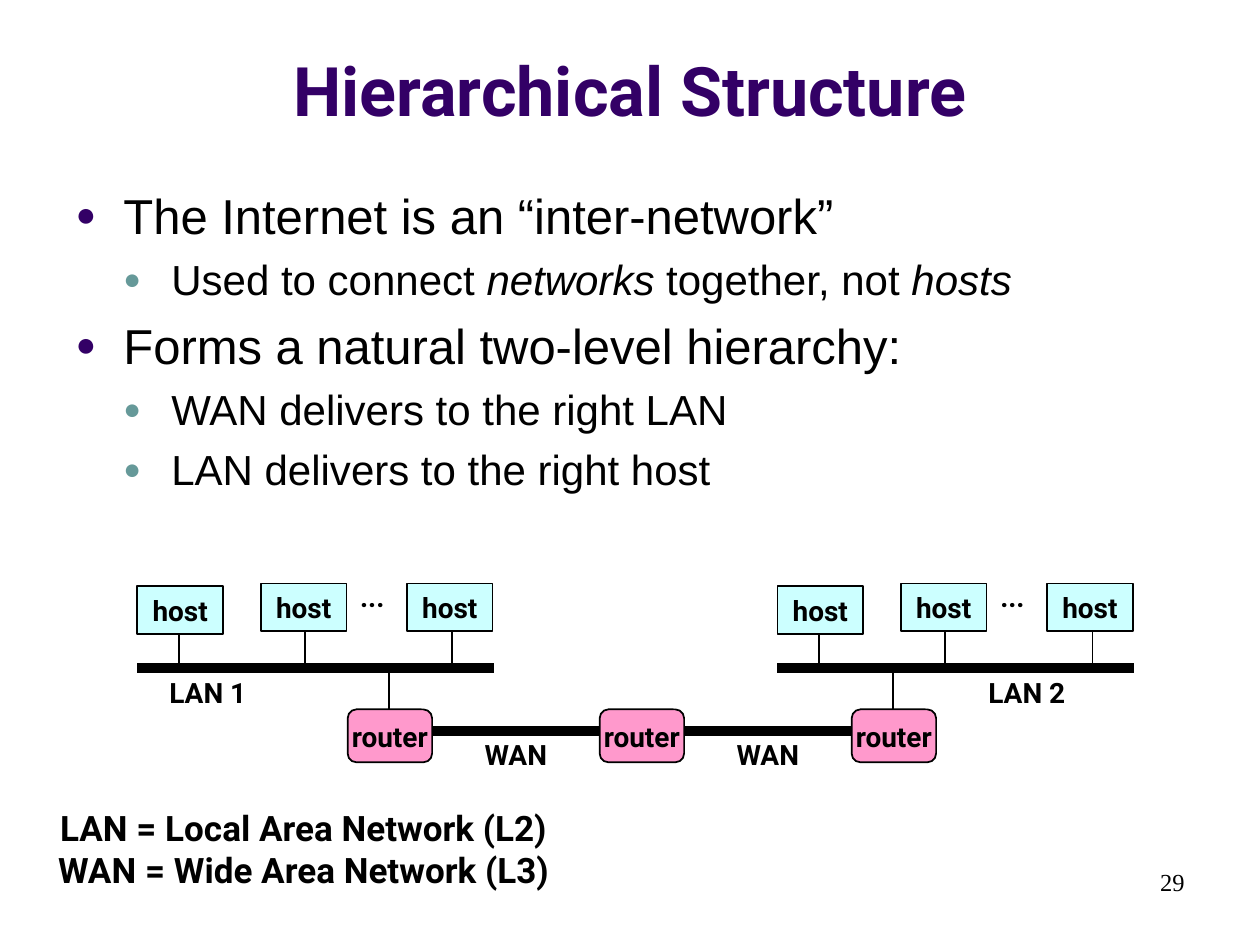
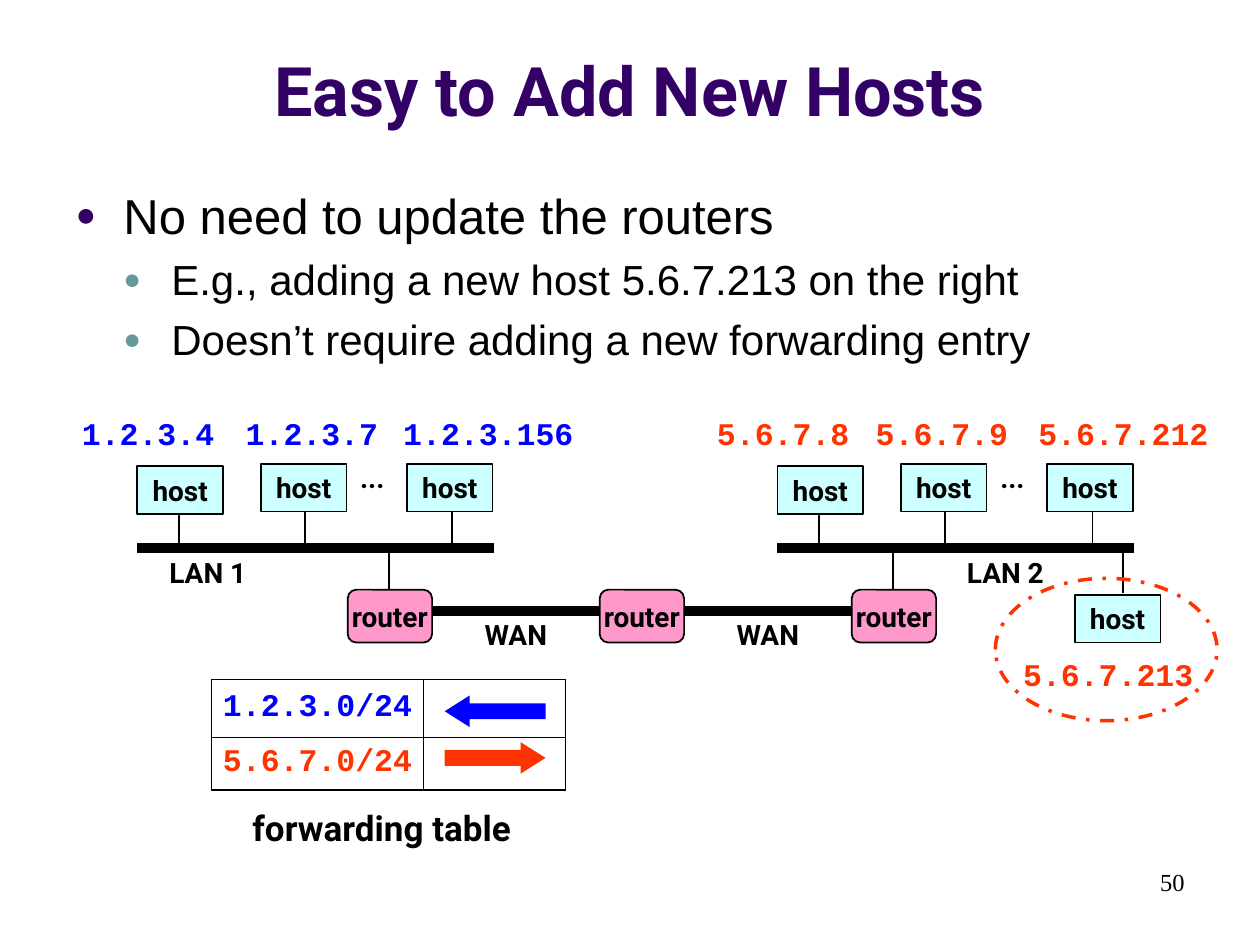
from lxml.etree import SubElement
from pptx import Presentation
from pptx.dml.color import RGBColor
from pptx.enum.dml import MSO_LINE
from pptx.enum.shapes import MSO_CONNECTOR, MSO_SHAPE
from pptx.enum.text import MSO_ANCHOR, MSO_AUTO_SIZE, PP_ALIGN
from pptx.oxml.ns import qn
from pptx.util import Inches, Pt

BLACK = RGBColor(0x00, 0x00, 0x00)
PURPLE = RGBColor(0x33, 0x00, 0x66)
TEAL = RGBColor(0x66, 0x99, 0x99)
HOST_FILL = RGBColor(0xCC, 0xFF, 0xFF)
ROUTER_FILL = RGBColor(0xFF, 0x99, 0xCC)
BLUE = RGBColor(0x00, 0x00, 0xFF)
ORANGE = RGBColor(0xFF, 0x33, 0x00)

HEADING_FONT = "Roboto"
BODY_FONT = "Arial"
ADDRESS_FONT = "Courier New"
NUMBER_FONT = "Times New Roman"

HOST_SIZE = (0.68, 0.38)
ROUTER_SIZE = (0.67, 0.42)
LAN_WIDTH = 2.83
LAN_LEFTS = (1.09, 6.17)
ROUTER_LEFTS = (2.76, 4.76, 6.76)
STEM = 0.33
# Font size, bullet colour and space before for each list level.
LIST_LEVELS = ((28, PURPLE, 6.4), (24, TEAL, 5.5))


def place(shape, left, top, width, height):
    """Move and size a shape, in inches."""
    shape.left, shape.top = Inches(left), Inches(top)
    shape.width, shape.height = Inches(width), Inches(height)


def style(paragraph, font_name, size, color=BLACK, bold=True, align=PP_ALIGN.CENTER):
    """Set the font and alignment of a whole paragraph."""
    paragraph.alignment = align
    font = paragraph.font
    font.name, font.size, font.bold = font_name, Pt(size), bold
    font.color.rgb = color


def add_text(slide, box, lines, font_name=HEADING_FONT, size=16, color=BLACK,
             bold=True, align=PP_ALIGN.CENTER, anchor=MSO_ANCHOR.TOP, wrap=False):
    """Add a text box with one paragraph for each line."""
    frame = slide.shapes.add_textbox(*map(Inches, box)).text_frame
    frame.word_wrap = wrap
    frame.vertical_anchor = anchor
    frame.text = "\n".join(lines)
    for paragraph in frame.paragraphs:
        style(paragraph, font_name, size, color, bold, align)


def add_label(slide, box, text, wrap=False):
    """Add a diagram label centred in its box."""
    add_text(slide, box, [text], anchor=MSO_ANCHOR.MIDDLE, wrap=wrap)


def add_address(slide, left, top, text, color):
    """Add an IP address, with a box as wide as its characters need."""
    box = (left, top, 0.2 + 0.15 * len(text), 0.4)
    add_text(slide, box, [text], ADDRESS_FONT, 18, color)


def add_line(slide, start, end, width=1):
    """Add a straight black line between two points."""
    points = map(Inches, (*start, *end))
    line = slide.shapes.add_connector(MSO_CONNECTOR.STRAIGHT, *points)
    line.line.color.rgb = BLACK
    line.line.width = Pt(width)
    SubElement(line._element.spPr, qn("a:effectLst"))


def add_shape(slide, kind, box, fill=None, line=None, width=1):
    """Add a flat preset shape; a missing fill or line is left out."""
    shape = slide.shapes.add_shape(kind, *map(Inches, box))
    shape.shadow.inherit = False
    if fill is None:
        shape.fill.background()
    else:
        shape.fill.solid()
        shape.fill.fore_color.rgb = fill
    if line is None:
        shape.line.fill.background()
    else:
        shape.line.color.rgb = line
        shape.line.width = Pt(width)
    return shape


def add_node(slide, kind, box, fill, text):
    """Add a labelled network node."""
    frame = add_shape(slide, kind, box, fill, BLACK).text_frame
    frame.word_wrap = False
    frame.vertical_anchor = MSO_ANCHOR.MIDDLE
    frame.text = text
    style(frame.paragraphs[0], HEADING_FONT, 16)


def add_host(slide, left, top):
    """Add a host node."""
    add_node(slide, MSO_SHAPE.RECTANGLE, (left, top, *HOST_SIZE), HOST_FILL, "host")


def add_lan(slide, left, bus, name, name_left):
    """Draw a LAN: a bus line with three hosts above it and a name below."""
    add_line(slide, (left, bus), (left + LAN_WIDTH, bus), 6)
    for stem in (0.33, 1.33, 2.5):
        add_line(slide, (left + stem, bus - STEM), (left + stem, bus))
    for offset, rise in ((0, 0.65), (0.98, 0.67), (2.14, 0.67)):
        add_host(slide, left + offset, bus - rise)
    add_label(slide, (name_left, bus + 0.01, 0.84, 0.37), name)
    add_label(slide, (left + 1.67, bus - 0.75, 0.39, 0.37), "...", wrap=True)


def add_network(slide, bus, second_name_left):
    """Draw two LANs joined by three routers; bus is the height of the LAN lines."""
    add_lan(slide, LAN_LEFTS[0], bus, "LAN 1", 1.23)
    add_lan(slide, LAN_LEFTS[1], bus, "LAN 2", second_name_left)
    router_top, wan = bus + STEM, bus + 0.5
    width = ROUTER_SIZE[0]
    for left in (ROUTER_LEFTS[0], ROUTER_LEFTS[-1]):
        add_line(slide, (left + STEM, bus), (left + STEM, router_top))
    for left, right in zip(ROUTER_LEFTS, ROUTER_LEFTS[1:]):
        add_line(slide, (left + width, wan), (right, wan), 6)
        add_label(slide, (left + 0.97, wan, 0.73, 0.37), "WAN")
    for left in ROUTER_LEFTS:
        add_node(slide, MSO_SHAPE.ROUNDED_RECTANGLE,
                 (left, router_top, *ROUTER_SIZE), ROUTER_FILL, "router")


def set_bullet(paragraph, level, color):
    """Give a list paragraph its hanging indent and coloured bullet."""
    properties = paragraph._p.get_or_add_pPr()
    properties.set("marL", str(Inches(0.38 * (level + 1))))
    properties.set("indent", str(Inches(-0.38)))
    bullet_color = SubElement(properties, qn("a:buClr"))
    SubElement(bullet_color, qn("a:srgbClr"), val=str(color))
    SubElement(properties, qn("a:buSzPct"), val="70000")
    SubElement(properties, qn("a:buChar"), char="●")


def fill_list(body, items):
    """Write (level, runs) items into the body; every second run is italic."""
    place(body, 0.5, 1.42, 9.33, 5.29)
    frame = body.text_frame
    frame.auto_size = MSO_AUTO_SIZE.NONE
    for index, (level, runs) in enumerate(items):
        paragraph = frame.add_paragraph() if index else frame.paragraphs[0]
        size, color, space = LIST_LEVELS[level]
        paragraph.level = level
        paragraph.space_before = Pt(space)
        set_bullet(paragraph, level, color)
        style(paragraph, BODY_FONT, size, bold=False, align=PP_ALIGN.LEFT)
        for position, text in enumerate(runs):
            run = paragraph.add_run()
            run.text = text
            if position % 2:
                run.font.italic = True


def add_content_slide(presentation, title, items, number):
    """Add a slide with a title, a bullet list and a page number."""
    slide = presentation.slides.add_slide(presentation.slide_layouts[1])
    heading, body = slide.placeholders
    place(heading, 0, 0.13, 10, 0.95)
    frame = heading.text_frame
    frame.auto_size = MSO_AUTO_SIZE.NONE
    frame.vertical_anchor = MSO_ANCHOR.BOTTOM
    frame.text = title
    style(frame.paragraphs[0], HEADING_FONT, 39, PURPLE)
    fill_list(body, items)
    add_text(slide, (7.17, 6.83, 2.33, 0.5), [number], NUMBER_FONT, 14,
             bold=False, align=PP_ALIGN.RIGHT, wrap=True)
    return slide


def set_borders(cell):
    """Draw thin black borders around a table cell."""
    properties = cell._tc.get_or_add_tcPr()
    for position, side in enumerate(("lnL", "lnR", "lnT", "lnB")):
        border = properties.makeelement(qn(f"a:{side}"), {"w": str(Pt(0.75))})
        fill = SubElement(border, qn("a:solidFill"))
        SubElement(fill, qn("a:srgbClr"), val=str(BLACK))
        properties.insert(position, border)


def add_forwarding_table(slide, left, top):
    """Draw the forwarding table, with an arrow for each route and a caption."""
    widths, heights = (1.68, 1.13), (0.46, 0.42)
    box = map(Inches, (left, top, sum(widths), sum(heights)))
    table = slide.shapes.add_table(2, 2, *box).table
    table.first_row = table.horz_banding = False
    for column, width in zip(table.columns, widths):
        column.width = Inches(width)
    for row, height in zip(table.rows, heights):
        row.height = Inches(height)
    for cell in table.iter_cells():
        cell.fill.background()
        cell.margin_left = cell.margin_right = 0
        cell.margin_top = cell.margin_bottom = 0
        cell.vertical_anchor = MSO_ANCHOR.MIDDLE
        set_borders(cell)
    routes = (("1.2.3.0/24", BLUE, MSO_SHAPE.LEFT_ARROW, 0.13),
              ("5.6.7.0/24", ORANGE, MSO_SHAPE.RIGHT_ARROW, 0.5))
    for row, (prefix, color, kind, offset) in enumerate(routes):
        cell = table.cell(row, 0)
        cell.text = prefix
        style(cell.text_frame.paragraphs[0], ADDRESS_FONT, 18, color)
        arrow = add_shape(slide, kind, (left + 1.85, top + offset, 0.8, 0.25), color)
        arrow.adjustments[1] = 0.79
    add_text(slide, (left + 0.17, top + 0.96, 2.36, 0.43), ["forwarding table"], size=20)


def add_new_host(slide, left, top):
    """Draw the added host with its address inside a dashed ellipse."""
    add_line(slide, (left + 1.01, top - 0.21), (left + 1.01, top + 0.12))
    add_host(slide, left + 0.63, top + 0.13)
    add_address(slide, left + 0.12, top + 0.56, "5.6.7.213", ORANGE)
    ellipse = add_shape(slide, MSO_SHAPE.OVAL, (left, top, 1.76, 1.13),
                        line=ORANGE, width=2)
    ellipse.line.dash_style = MSO_LINE.DASH_DOT


def build_hierarchy(presentation):
    """Build the slide on the two-level network hierarchy."""
    items = [
        (0, ["The Internet is an “inter-network”"]),
        (1, ["Used to connect ", "networks", " together, not ", "hosts"]),
        (0, ["Forms a natural two-level hierarchy:"]),
        (1, ["WAN delivers to the right LAN"]),
        (1, ["LAN delivers to the right host"]),
    ]
    slide = add_content_slide(presentation, "Hierarchical Structure", items, "29")
    add_network(slide, 5.3, 7.73)
    legend = ["LAN = Local Area Network (L2)", "WAN = Wide Area Network (L3)"]
    add_text(slide, (0.26, 6.35, 4.3, 0.77), legend, size=20)


def build_new_hosts(presentation):
    """Build the slide on adding a host without touching the routers."""
    items = [
        (0, ["No need to update the routers"]),
        (1, ["E.g., adding a new host 5.6.7.213 on the right"]),
        (1, ["Doesn’t require adding a new forwarding entry"]),
    ]
    slide = add_content_slide(presentation, "Easy to Add New Hosts", items, "50")
    add_network(slide, 4.35, 7.56)
    addresses = (
        (0.55, "1.2.3.4", BLUE), (1.85, "1.2.3.7", BLUE), (3.1, "1.2.3.156", BLUE),
        (5.59, "5.6.7.8", ORANGE), (6.85, "5.6.7.9", ORANGE), (8.14, "5.6.7.212", ORANGE),
    )
    for left, text, color in addresses:
        add_address(slide, left, 3.24, text, color)
    add_forwarding_table(slide, 1.68, 5.39)
    add_new_host(slide, 7.9, 4.59)


presentation = Presentation()
presentation.slide_width, presentation.slide_height = Inches(10), Inches(7.5)
build_hierarchy(presentation)
build_new_hosts(presentation)
presentation.save("out.pptx")
